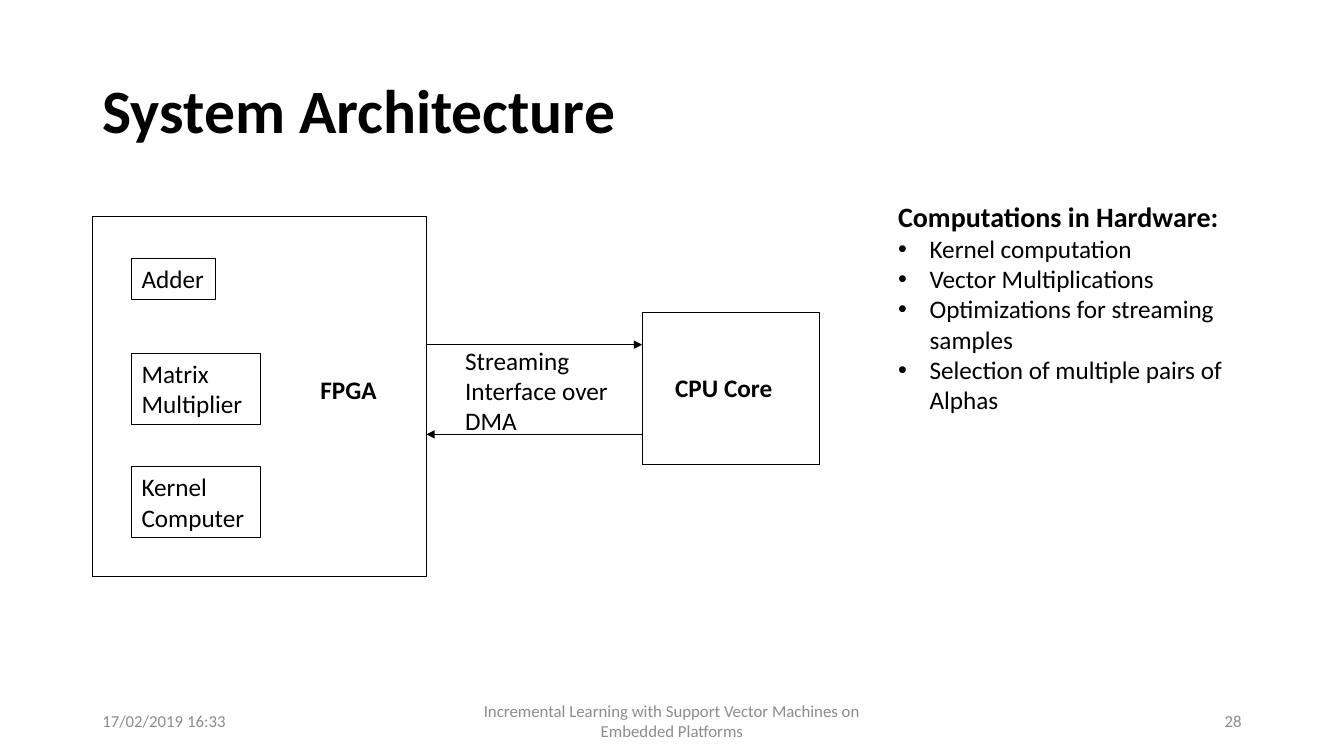
from pptx import Presentation
from pptx.dml.color import RGBColor
from pptx.enum.shapes import MSO_CONNECTOR as CONNECTOR, MSO_SHAPE as SHAPE
from pptx.enum.text import MSO_ANCHOR as ANCHOR, MSO_AUTO_SIZE as AUTO_SIZE, PP_ALIGN as ALIGN
from pptx.oxml.ns import qn
from pptx.util import Pt

COLORS = {"ink": "000000", "footer": "8C8C8C"}
FONT = "Calibri"


def color(name):
    return RGBColor.from_string(COLORS[name])


def place(shape, left, top, width, height):
    shape.left, shape.top = Pt(left), Pt(top)
    shape.width, shape.height = Pt(width), Pt(height)


def format_paragraph(paragraph, size, bold=False, ink="ink", align=ALIGN.LEFT):
    paragraph.alignment = align
    for run in paragraph.runs:
        run.font.name, run.font.size, run.font.bold = FONT, Pt(size), bold
        run.font.color.rgb = color(ink)


def fill_text(shape, text, size=18, anchor=ANCHOR.TOP, **style):
    frame = shape.text_frame
    frame.text = text
    frame.word_wrap = True
    frame.auto_size = AUTO_SIZE.NONE
    frame.vertical_anchor = anchor
    format_paragraph(frame.paragraphs[0], size, **style)


def add_label(slide, box, text, **style):
    fill_text(slide.shapes.add_textbox(*map(Pt, box)), text, **style)


def add_frame(slide, box, line_width, text=None):
    """Add an unfilled outlined rectangle, with text when given."""
    shape = slide.shapes.add_shape(SHAPE.RECTANGLE, *map(Pt, box))
    shape.shadow.inherit = False
    shape.fill.background()
    shape.line.color.rgb = color("ink")
    shape.line.width = Pt(line_width)
    if text:
        fill_text(shape, text)


def add_arrow(slide, start_x, end_x, y):
    arrow = slide.shapes.add_connector(CONNECTOR.STRAIGHT, Pt(start_x), Pt(y), Pt(end_x), Pt(y))
    arrow.line.color.rgb = color("ink")
    arrow.line.width = Pt(0.5)
    line = arrow.line._get_or_add_ln()
    line.append(line.makeelement(qn("a:tailEnd"), {"type": "triangle"}))
    properties = arrow._element.spPr
    properties.append(properties.makeelement(qn("a:effectLst"), {}))


def add_title(slide, box):
    title = slide.shapes.title
    place(title, *box)
    fill_text(title, "System Architecture", size=44, anchor=ANCHOR.MIDDLE, bold=True)
    title.text_frame.paragraphs[0].line_spacing = 0.9


def add_diagram(slide, box):
    left, top, width, height = box
    fpga_width, core_width, core_height = 238.5, 126.7, 108.7
    fpga_right = left + fpga_width
    core_left = left + width - core_width

    modules = [("Adder", 30, 60, 29), ("Matrix Multiplier", 97.5, 92.2, 51),
               ("Kernel Computer", 178.5, 92.2, 51)]
    for name, offset, module_width, module_height in modules:
        add_frame(slide, (left + 28, top + offset, module_width, module_height), 0.75, name)

    add_frame(slide, (left, top, fpga_width, height), 1)
    add_label(slide, (left + 155.8, top + 109, 58, 29), "FPGA", bold=True)
    add_frame(slide, (core_left, top + 68.4, core_width, core_height), 1)
    add_label(slide, (core_left + 16.4, top + 107.5, 94.5, 29), "CPU Core", bold=True)

    add_arrow(slide, fpga_right, core_left, top + 91.4)
    add_arrow(slide, core_left, fpga_right, top + 155.5)
    add_label(slide, (fpga_right + 20.7, top + 88, 116.7, 72.7), "Streaming Interface over DMA")


def set_bullet(paragraph, symbol=None):
    """Give the paragraph a hanging bullet, or none without a symbol."""
    properties = paragraph._p.get_or_add_pPr()
    indent = Pt(22.5) if symbol else 0
    properties.set("marL", str(indent))
    properties.set("indent", str(-indent))
    tag, attributes = ("a:buChar", {"char": symbol}) if symbol else ("a:buNone", {})
    properties.append(properties.makeelement(qn(tag), attributes))


def add_computations(slide, box):
    body = slide.placeholders[1]
    place(body, *box)
    fill_text(body, "Computations in Hardware:", size=20, bold=True)
    for item in ("Kernel computation", "Vector Multiplications",
                 "Optimizations for streaming samples", "Selection of multiple pairs of Alphas"):
        paragraph = body.text_frame.add_paragraph()
        paragraph.text = item
        format_paragraph(paragraph, 18)
    for index, paragraph in enumerate(body.text_frame.paragraphs):
        paragraph.space_before = Pt(0)
        set_bullet(paragraph, "•" if index else None)


def add_footer(slide, box):
    left, top, width, height = box
    side, middle = 216, 324
    parts = [("17/02/2019 16:33", left, side, ALIGN.LEFT),
             ("Incremental Learning with Support Vector Machines on Embedded Platforms",
              left + (width - middle) / 2, middle, ALIGN.CENTER),
             ("28", left + width - side, side, ALIGN.RIGHT)]
    for text, part_left, part_width, align in parts:
        add_label(slide, (part_left, top, part_width, height), text, size=12,
                  anchor=ANCHOR.MIDDLE, ink="footer", align=align)


def main():
    presentation = Presentation()
    presentation.slide_width, presentation.slide_height = Pt(960), Pt(540)
    slide = presentation.slides.add_slide(presentation.slide_layouts[1])
    add_title(slide, (66, 28.8, 828, 104.4))
    add_footer(slide, (66, 500.5, 828, 28.8))
    add_diagram(slide, (66, 154.8, 519.5, 257))
    add_computations(slide, (634.3, 139, 259.2, 162.7))
    presentation.save("out.pptx")


if __name__ == "__main__":
    main()
